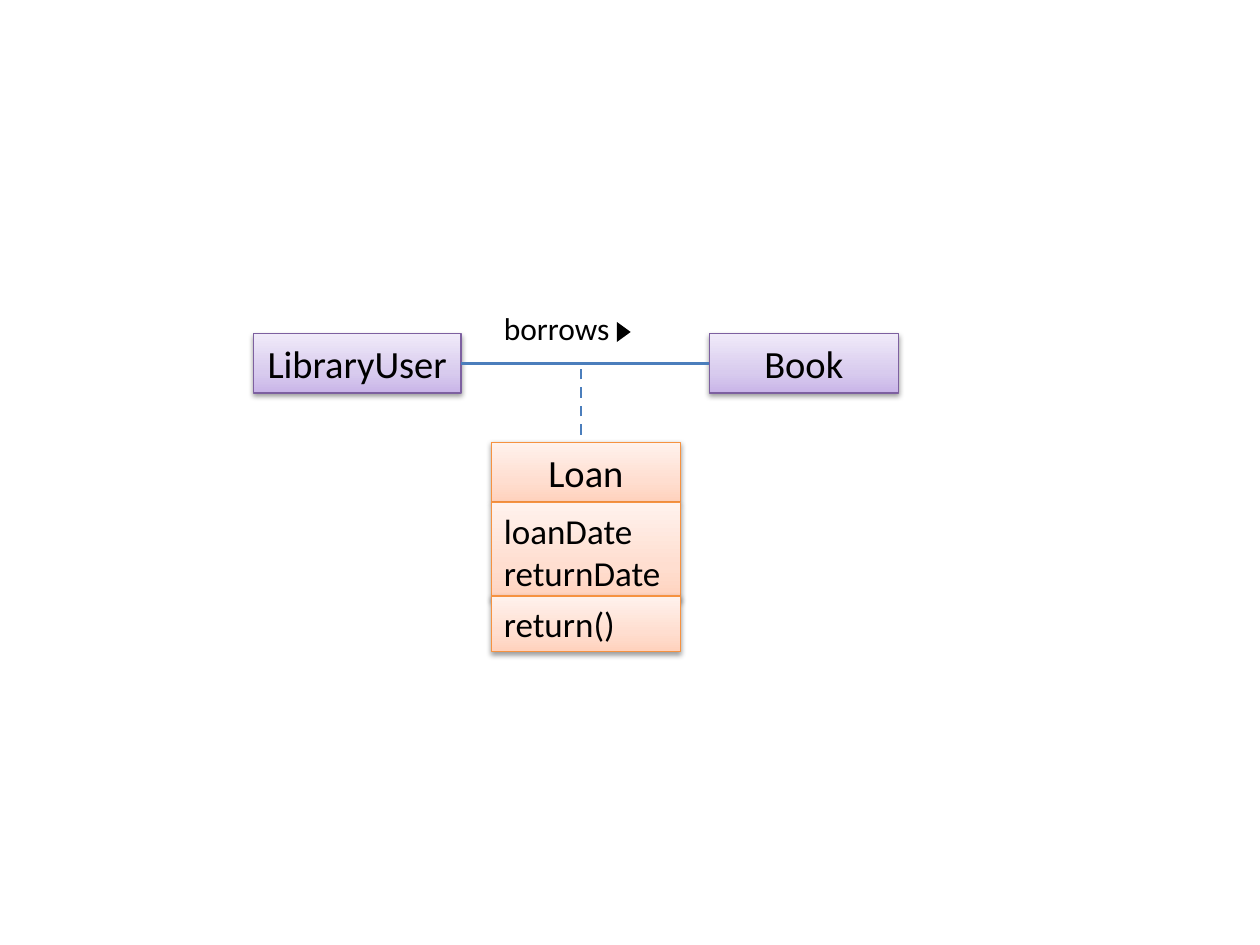
from dataclasses import dataclass

from lxml import etree
from pptx import Presentation
from pptx.dml.color import RGBColor
from pptx.enum import dml, shapes, text
from pptx.oxml.ns import qn
from pptx.util import Inches, Pt

COLORS = {"text": "000000", "link": "4B7EBC", "shadow": "000000",
          "class_line": "7D60A0", "loan_line": "F69240"}
GRADIENTS = {"class": ("C9B5E8", "D8CBEE", "F0EAF9"),
             "loan": ("FFD2BD", "FFDED0", "FFF2ED")}
STOPS = (0, 35, 100)  # percent
FONT = "Calibri"


@dataclass
class Box:
    lines: tuple[str, ...]
    left: float
    top: float
    width: float
    height: float
    theme: str
    size: int
    align: text.PP_ALIGN


def rgb(name: str) -> RGBColor:
    return RGBColor.from_string(COLORS[name])


def add_xml(parent, tag: str, **attrs):
    return etree.SubElement(parent, qn(tag), {k: str(v) for k, v in attrs.items()})


def write(tf, lines, size: int, align) -> None:
    for i, line in enumerate(lines):
        p = tf.add_paragraph() if i else tf.paragraphs[0]
        p.alignment = align
        r = p.add_run()
        r.text = line
        r.font.size = Pt(size)
        r.font.name = FONT
        r.font.color.rgb = rgb("text")


def fill_gradient(sp, theme: str) -> None:
    """Fill upwards with the three colours of a theme."""
    sp.fill.gradient()
    sp.fill.gradient_angle = 90
    stops = sp._element.spPr.find(".//" + qn("a:gsLst"))
    for old in list(stops):
        stops.remove(old)
    for pos, color in zip(STOPS, GRADIENTS[theme]):
        add_xml(add_xml(stops, "a:gs", pos=pos * 1000), "a:srgbClr", val=color)


def add_shadow(sp) -> None:
    sp.shadow.inherit = False
    effects = sp._element.spPr.find(qn("a:effectLst"))
    shadow = add_xml(effects, "a:outerShdw", blurRad=Pt(3.1), dist=Pt(1.6),
                     dir=5400000, rotWithShape=0)
    add_xml(add_xml(shadow, "a:srgbClr", val=COLORS["shadow"]), "a:alpha", val=38000)


def add_box(s, box: Box):
    sp = s.shapes.add_shape(shapes.MSO_SHAPE.RECTANGLE, Inches(box.left),
                            Inches(box.top), Inches(box.width), Inches(box.height))
    fill_gradient(sp, box.theme)
    sp.line.color.rgb = rgb(box.theme + "_line")
    sp.line.width = Pt(0.75)
    add_shadow(sp)
    tf = sp.text_frame
    tf.word_wrap = True
    tf.vertical_anchor = text.MSO_ANCHOR.MIDDLE
    write(tf, box.lines, box.size, box.align)
    return sp


def add_link(s, x1: float, y1: float, x2: float, y2: float):
    line = s.shapes.add_connector(shapes.MSO_CONNECTOR.STRAIGHT, Inches(x1),
                                  Inches(y1), Inches(x2), Inches(y2))
    line.line.color.rgb = rgb("link")
    line.line.width = Pt(1.5)
    add_xml(line._element.spPr, "a:effectLst")
    return line


def main() -> None:
    prs = Presentation()
    prs.slide_width, prs.slide_height = Inches(10), Inches(7.5)
    s = prs.slides.add_slide(prs.slide_layouts[6])

    center, left = text.PP_ALIGN.CENTER, text.PP_ALIGN.LEFT
    user, book, *_ = [add_box(s, box) for box in (
        Box(("LibraryUser",), 2.01, 2.65, 1.65, 0.47, "class", 22, center),
        Box(("Book",), 5.63, 2.65, 1.5, 0.47, "class", 22, center),
        Box(("Loan",), 3.9, 3.51, 1.5, 0.47, "loan", 22, center),
        Box(("loanDate", "returnDate"), 3.9, 3.99, 1.5, 0.77, "loan", 20, left),
        Box(("return()",), 3.9, 4.73, 1.5, 0.44, "loan", 20, left),
    )]

    association = add_link(s, 3.66, 2.88, 5.63, 2.88)
    association.begin_connect(user, 3)
    association.end_connect(book, 1)
    add_link(s, 4.61, 3.45, 4.61, 2.9).line.dash_style = dml.MSO_LINE.DASH

    label = s.shapes.add_textbox(Inches(3.9), Inches(2.4), Inches(1.1), Inches(0.4))
    label.text_frame.word_wrap = True
    write(label.text_frame, ("borrows",), 18, left)

    direction = s.shapes.add_shape(shapes.MSO_SHAPE.ISOSCELES_TRIANGLE, Inches(4.87),
                                   Inches(2.58), Inches(0.16), Inches(0.11))
    direction.rotation = 90
    direction.fill.solid()
    direction.fill.fore_color.rgb = rgb("text")
    direction.line.fill.background()
    direction.shadow.inherit = False

    prs.save("out.pptx")


if __name__ == "__main__":
    main()
